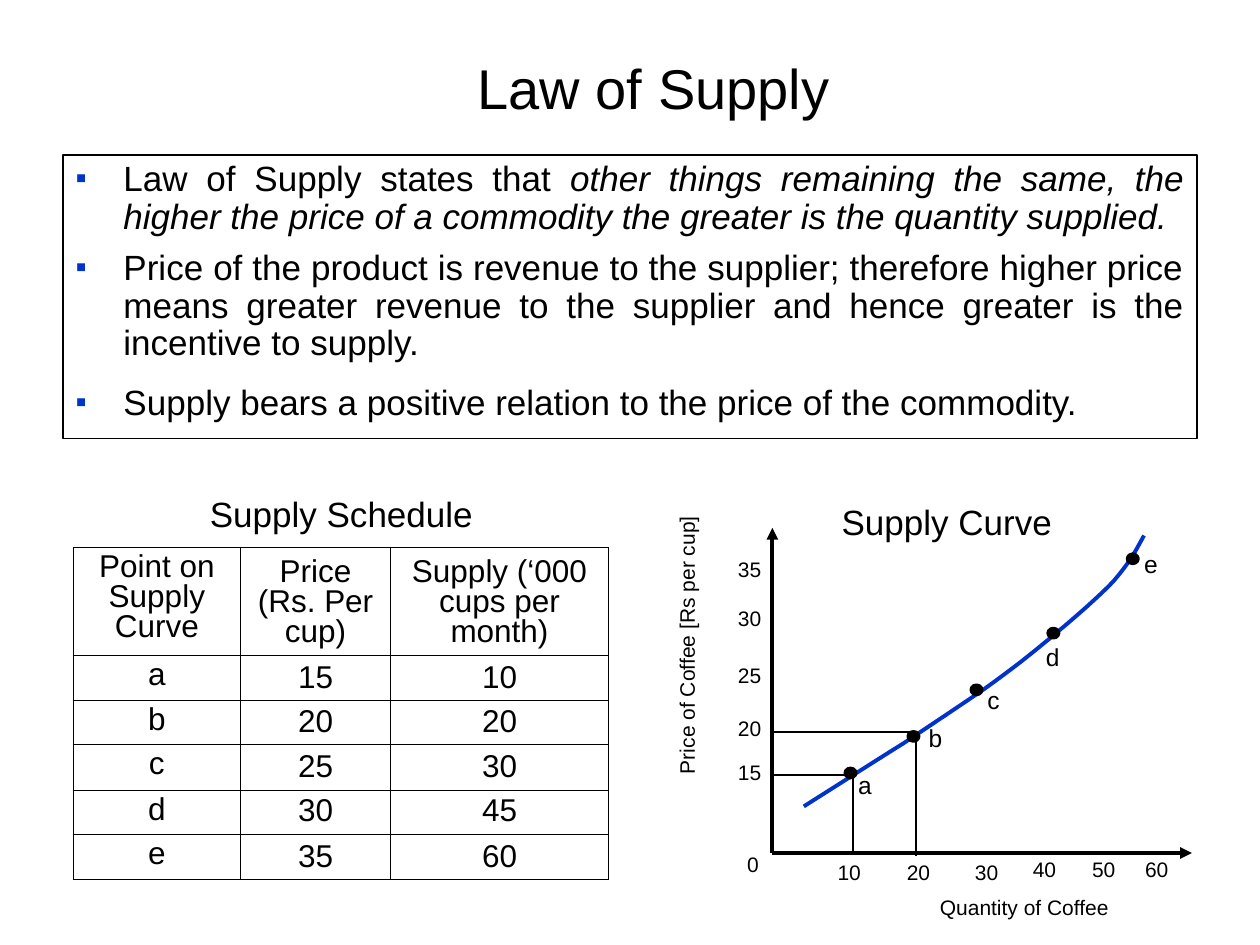
from typing import NamedTuple

from lxml.etree import SubElement
from pptx import Presentation
from pptx.dml.color import RGBColor
from pptx.enum.shapes import MSO_CONNECTOR, MSO_SHAPE
from pptx.enum.text import MSO_ANCHOR, MSO_AUTO_SIZE, PP_ALIGN
from pptx.oxml.ns import qn
from pptx.util import Inches, Pt

COLORS = {"ink": "000000", "accent": "0033CC"}
FONT = "Arial"


class Label(NamedTuple):
    text: str
    left: float
    top: float
    width: float
    height: float = 0.3
    size: float = 12
    rotation: float = 0
    wrap: bool = False


class Line(NamedTuple):
    start: tuple[float, float]
    end: tuple[float, float]
    width: float = 0.75
    arrow: bool = False


class CurvePoint(NamedTuple):
    name: str
    dot: tuple[float, float]
    label: tuple[float, float]


class Bullet(NamedTuple):
    spans: list[tuple[str, bool]]
    space_before: float


BULLETS = [
    Bullet([("Law of Supply states that", False),
            (" other things remaining the same, the higher the price of a "
             "commodity the greater is the quantity supplied.", True)], 0),
    Bullet([("Price of the product is revenue to the supplier; therefore higher price "
             "means greater revenue to the supplier and hence greater is the "
             "incentive to supply.", False)], 7.5),
    Bullet([("Supply bears a positive relation to the price of the commodity.", False)], 12.5),
]
SCHEDULE = [
    ("Point on Supply Curve", "Price (Rs. Per cup)", "Supply (‘000 cups per month)"),
    ("a", "15", "10"),
    ("b", "20", "20"),
    ("c", "25", "30"),
    ("d", "30", "45"),
    ("e", "35", "60"),
]
COLUMN_WIDTHS = (1.33, 1.19, 1.73)
ROW_HEIGHTS = (0.86, 0.36, 0.35, 0.36, 0.35, 0.36)
PRICE_TICKS = {"35": 4.37, "30": 4.76, "25": 5.21, "20": 5.63, "15": 5.98}
QUANTITY_TICKS = {"10": (6.55, 6.77), "20": (7.1, 6.77), "30": (7.64, 6.77),
                  "40": (8.1, 6.75), "50": (8.57, 6.75), "60": (8.99, 6.75)}
LINES = [
    Line((6.13, 6.77), (6.13, 4.19), 2.25, True),
    Line((6.13, 6.77), (9.46, 6.77), 2.25, True),
    Line((6.77, 6.15), (6.77, 6.77)),
    Line((6.77, 6.15), (6.14, 6.15)),
    Line((7.27, 5.81), (6.14, 5.81)),
    Line((7.27, 5.81), (7.27, 6.79)),
]
POINTS = [
    CurvePoint("a", (6.71, 6.1), (6.71, 6.06)),
    CurvePoint("b", (7.21, 5.81), (7.27, 5.69)),
    CurvePoint("c", (7.71, 5.44), (7.73, 5.39)),
    CurvePoint("d", (8.32, 4.99), (8.2, 5.05)),
    CurvePoint("e", (8.95, 4.4), (8.98, 4.31)),
]
CURVE_START = (9.08, 4.25)
CURVE_BENDS = [
    ((9.02, 4.36), (8.97, 4.46), (8.84, 4.61)),
    ((8.71, 4.75), (8.45, 4.97), (8.28, 5.11)),
    ((8.11, 5.25), (7.99, 5.34), (7.81, 5.47)),
    ((7.62, 5.6), (7.41, 5.74), (7.17, 5.9)),
    ((6.93, 6.05), (6.65, 6.23), (6.38, 6.4)),
]
LABELS = [
    Label("Supply Schedule", 0.63, 3.86, 4.16, 0.44, 20, wrap=True),
    Label("Supply Curve", 6.55, 3.92, 1.93, 0.44, 20, wrap=True),
    Label("Price of Coffee [Rs per cup]", 4.33, 4.97, 2.24, rotation=270),
    Label("Quantity of Coffee", 7.36, 7.05, 1.54),
    Label("0", 5.83, 6.71, 0.29),
]
LABELS += [Label(text, 5.76, top, 0.38) for text, top in PRICE_TICKS.items()]
LABELS += [Label(text, *place, 0.38) for text, place in QUANTITY_TICKS.items()]
LABELS += [Label(point.name, *point.label, 0.31, 0.34, 14) for point in POINTS]


def color(name: str) -> RGBColor:
    return RGBColor.from_string(COLORS[name])


def style_font(font, size: float, italic: bool = False) -> None:
    values = {"name": FONT, "size": Pt(size), "italic": italic, "bold": False}
    for name, value in values.items():
        setattr(font, name, value)
    font.color.rgb = color("ink")


def place(shape, left: float, top: float, width: float, height: float) -> None:
    values = {"left": left, "top": top, "width": width, "height": height}
    for name, value in values.items():
        setattr(shape, name, Inches(value))


def set_line(line, width: float, name: str = "ink") -> None:
    line.color.rgb = color(name)
    line.width = Pt(width)


def fill_title(title) -> None:
    place(title, 1, 0.3, 8.5, 0.78)
    title.text_frame.auto_size = MSO_AUTO_SIZE.NONE
    title.text_frame.vertical_anchor = MSO_ANCHOR.MIDDLE
    para = title.text_frame.paragraphs[0]
    para.alignment = PP_ALIGN.CENTER
    span = para.add_run()
    span.text = "Law of Supply "
    style_font(span.font, 32)


def add_bullet_mark(para) -> None:
    properties = para._p.get_or_add_pPr()
    properties.set("marL", str(Inches(0.38)))
    properties.set("indent", str(Inches(-0.38)))
    mark_color = SubElement(properties, qn("a:buClr"))
    SubElement(mark_color, qn("a:srgbClr"), val=COLORS["accent"])
    SubElement(properties, qn("a:buSzPct"), val="90000")
    SubElement(properties, qn("a:buFont"), typeface=FONT)
    SubElement(properties, qn("a:buChar"), char="▪")


def fill_body(body) -> None:
    place(body, 0.5, 1.23, 9, 2.25)
    set_line(body.line, 0.75)
    frame = body.text_frame
    frame.auto_size = MSO_AUTO_SIZE.NONE
    for index, bullet in enumerate(BULLETS):
        para = frame.add_paragraph() if index else frame.paragraphs[0]
        add_bullet_mark(para)
        para.alignment = PP_ALIGN.JUSTIFY
        para.line_spacing = 0.9
        para.space_before = Pt(bullet.space_before)
        for text, italic in bullet.spans:
            span = para.add_run()
            span.text = text
            style_font(span.font, 20, italic)


def add_cell_borders(cell) -> None:
    properties = cell._tc.get_or_add_tcPr()
    for index, side in enumerate(("a:lnL", "a:lnR", "a:lnT", "a:lnB")):
        border = properties.makeelement(qn(side), {"w": str(Pt(0.45))})
        fill = SubElement(border, qn("a:solidFill"))
        SubElement(fill, qn("a:srgbClr"), val=COLORS["ink"])
        properties.insert(index, border)


def add_schedule(slide) -> None:
    frame = slide.shapes.add_table(len(SCHEDULE), len(COLUMN_WIDTHS), Inches(0.58), Inches(4.34),
                                   Inches(sum(COLUMN_WIDTHS)), Inches(sum(ROW_HEIGHTS)))
    table = frame.table
    table.first_row = table.horz_banding = False
    for column, width in zip(table.columns, COLUMN_WIDTHS):
        column.width = Inches(width)
    for row, height, texts in zip(table.rows, ROW_HEIGHTS, SCHEDULE):
        row.height = Inches(height)
        for index, (cell, text) in enumerate(zip(row.cells, texts)):
            cell.text = text
            cell.fill.background()
            cell.vertical_anchor = MSO_ANCHOR.BOTTOM if index else MSO_ANCHOR.TOP
            add_cell_borders(cell)
            para = cell.text_frame.paragraphs[0]
            para.alignment = PP_ALIGN.CENTER
            para.line_spacing = 0.85
            style_font(para.runs[0].font, 18)


def add_label(slide, label: Label) -> None:
    box = slide.shapes.add_textbox(*map(Inches, label[1:5]))
    box.rotation = label.rotation
    values = {"word_wrap": label.wrap, "auto_size": MSO_AUTO_SIZE.NONE,
              "margin_left": Inches(0.04), "margin_right": Inches(0.04)}
    for name, value in values.items():
        setattr(box.text_frame, name, value)
    para = box.text_frame.paragraphs[0]
    para.alignment = PP_ALIGN.CENTER
    span = para.add_run()
    span.text = label.text
    style_font(span.font, label.size)


def add_line(slide, line: Line) -> None:
    ends = map(Inches, line.start + line.end)
    connector = slide.shapes.add_connector(MSO_CONNECTOR.STRAIGHT, *ends)
    set_line(connector.line, line.width)
    if line.arrow:
        SubElement(connector.line._get_or_add_ln(), qn("a:tailEnd"), type="triangle")
    SubElement(connector._element.spPr, qn("a:effectLst"))


def curve_vertices(steps: int = 12) -> list[tuple[int, int]]:
    """Points along the chain of cubic Bezier bends, in slide units."""
    vertices, start = [], CURVE_START
    for first, second, end in CURVE_BENDS:
        for step in range(1, steps + 1):
            t = step / steps
            weights = ((1 - t) ** 3, 3 * t * (1 - t) ** 2, 3 * t * t * (1 - t), t ** 3)
            corners = (start, first, second, end)
            vertices.append(tuple(Inches(sum(w * corner[axis]
                                             for w, corner in zip(weights, corners)))
                                  for axis in (0, 1)))
        start = end
    return vertices


def add_curve(slide) -> None:
    builder = slide.shapes.build_freeform(*map(Inches, CURVE_START))
    builder.add_line_segments(curve_vertices(), close=False)
    curve = builder.convert_to_shape()
    curve.shadow.inherit = False
    curve.fill.background()
    set_line(curve.line, 2.25, "accent")


def add_dot(slide, point: CurvePoint) -> None:
    dot = slide.shapes.add_shape(MSO_SHAPE.OVAL, *map(Inches, (*point.dot, 0.08, 0.07)))
    dot.shadow.inherit = False
    dot.fill.solid()
    dot.fill.fore_color.rgb = color("ink")
    set_line(dot.line, 2.25)


def main() -> None:
    deck = Presentation()
    deck.slide_width, deck.slide_height = Inches(10), Inches(7.5)
    page = deck.slides.add_slide(deck.slide_layouts[1])
    fill_title(page.shapes.title)
    fill_body(page.placeholders[1])
    add_schedule(page)
    for line in LINES:
        add_line(page, line)
    add_curve(page)
    for point in POINTS:
        add_dot(page, point)
    for label in LABELS:
        add_label(page, label)
    deck.save("out.pptx")


if __name__ == "__main__":
    main()
